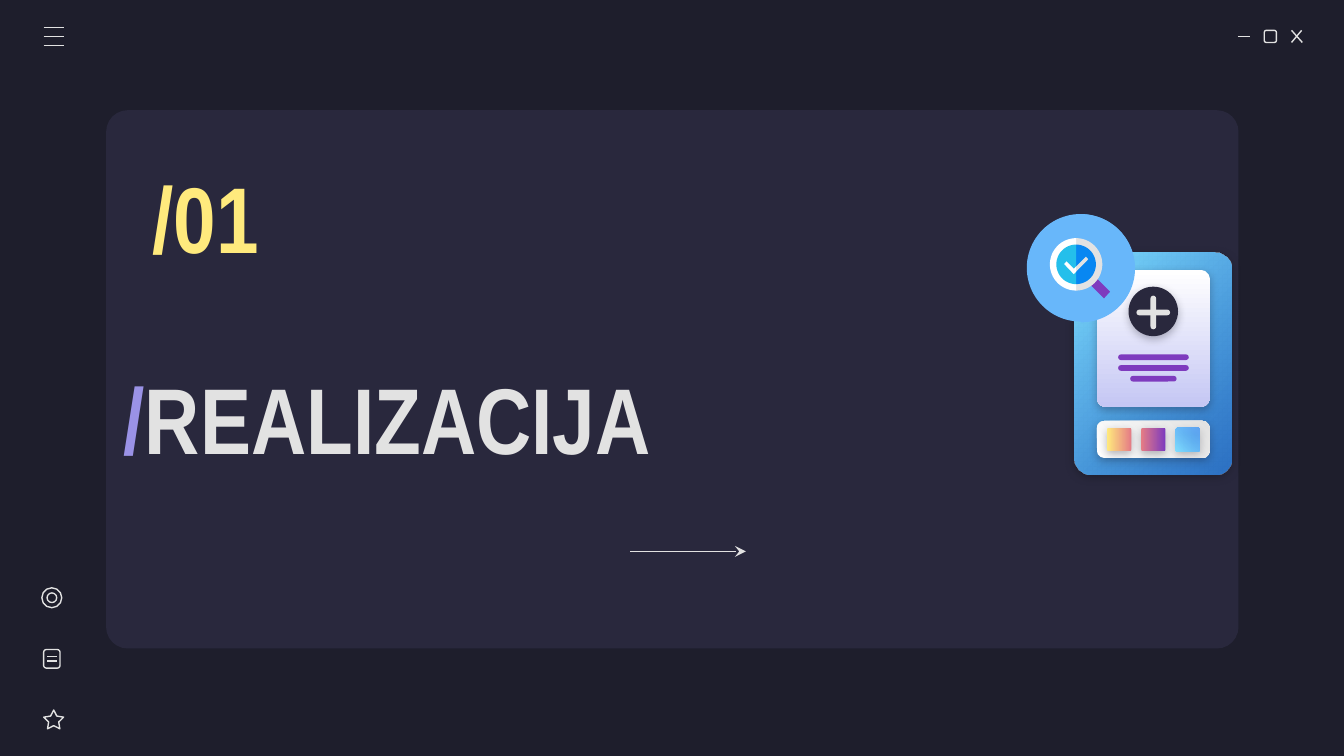
import math
from lxml import etree
from pptx import Presentation
from pptx import util as u
from pptx.dml.color import RGBColor
from pptx.enum import shapes, text
from pptx.oxml import parse_xml
from pptx.oxml.ns import nsdecls, qn

NIGHT = RGBColor(0x1E, 0x1E, 0x2C)
PANEL = RGBColor(0x29, 0x28, 0x3D)
LIGHT = RGBColor(0xE2, 0xE2, 0xE2)
WHITE = RGBColor(0xFF, 0xFF, 0xFF)
LAVENDER = RGBColor(0x9A, 0x92, 0xE6)
PALE = RGBColor(0xC5, 0xC7, 0xF4)
YELLOW = RGBColor(0xFF, 0xEA, 0x7D)
CORAL = RGBColor(0xE5, 0x7C, 0x85)
PURPLE = RGBColor(0x7E, 0x3B, 0xBE)
SKY = RGBColor(0x80, 0xDF, 0xFF)
BLUE = RGBColor(0x31, 0x8F, 0xFA)
BADGE = RGBColor(0x68, 0xB7, 0xFA)
LENS_LEFT = RGBColor(0x24, 0xBF, 0xEB)
LENS_RIGHT = RGBColor(0x08, 0x87, 0xF2)

KIND = shapes.MSO_SHAPE
ROUND = KIND.ROUNDED_RECTANGLE

presentation = Presentation()
presentation.slide_width = u.Inches(10)
presentation.slide_height = presentation.slide_width * 9 // 16
CELL = presentation.slide_width / 100  # square grid, 100 columns wide

slide = presentation.slides.add_slide(presentation.slide_layouts[5])
slide.background.fill.solid()
slide.background.fill.fore_color.rgb = NIGHT


def add_part(kind, cells, fill=None, adjust=(), angle=0, rotation=0, shadow=0):
    """Add a shape; fill is None (outline only), a colour or a gradient pair; shadow is its opacity."""
    shape = slide.shapes.add_shape(kind, *(round(n * CELL) for n in cells))
    shape.rotation = rotation
    for index, value in enumerate(adjust):
        shape.adjustments[index] = value
    if fill is None:
        shape.fill.background()
        shape.line.color.rgb = LIGHT
        shape.line.width = u.Pt(0.75)
    else:
        shape.line.fill.background()
        if isinstance(fill, RGBColor):
            shape.fill.solid()
            shape.fill.fore_color.rgb = fill
        else:
            shape.fill.gradient()
            shape.fill.gradient_angle = -angle % 360
            for stop, color in zip(shape.fill.gradient_stops, fill):
                stop.color.rgb = color
            if fill[1] == BLUE:
                last = shape.element.spPr.findall(".//" + qn("a:srgbClr"))[1]
                etree.SubElement(last, qn("a:alpha"), val="72000")
    shape.shadow.inherit = False
    if shadow:
        shape.element.spPr.find(qn("a:effectLst")).append(parse_xml(
            f'<a:outerShdw {nsdecls("a")} blurRad="57150" dist="19050" dir="5400000" algn="bl">'
            f'<a:srgbClr val="{NIGHT}"><a:alpha val="{shadow * 1000}"/></a:srgbClr></a:outerShdw>'))
    return shape


def add_line(*cells):
    line = slide.shapes.add_connector(
        shapes.MSO_CONNECTOR.STRAIGHT, *(round(n * CELL) for n in cells))
    line.line.color.rgb = LIGHT
    line.line.width = u.Pt(0.75)
    etree.SubElement(line.element.spPr, qn("a:effectLst"))
    return line


add_part(ROUND, (7.9, 8.2, 84.25, 40.05), PANEL, [0.04])

# Window buttons and menu
add_line(92.1, 2.7, 93, 2.7)
add_part(ROUND, (94.07, 2.26, 0.9, 0.9), adjust=[0.167])
add_line(96.1, 2.26, 96.9, 3.16)
add_line(96.85, 2.26, 96.1, 3.16)
for row in (2.05, 2.72, 3.39):
    add_line(3.25, row, 4.75, row)

# Side icons
add_part(KIND.STAR_5_POINT, (3.26, 52.83, 1.48, 1.4), adjust=[0.254, 1.051, 1.106])
add_part(ROUND, (3.25, 48.33, 1.22, 1.38), adjust=[0.167])
for row in (48.83, 49.2):
    add_line(3.5, row, 4.25, row)
add_part(KIND.OVAL, (3.12, 43.74, 1.48, 1.48))
add_part(KIND.OVAL, (3.5, 44.12, 0.72, 0.72))

# Title and section number
title = slide.shapes.title
slide.shapes.element.append(title.element)
number = slide.shapes.add_textbox(0, 0, 0, 0)
for box, cells, runs in (
    (title, (8.2, 22.85, 68.2, 16.4), (("/", LAVENDER), ("REALIZACIJA", LIGHT))),
    (number, (10.36, 11.5, 17.8, 9.2), (("/01", YELLOW),)),
):
    box.left, box.top, box.width, box.height = (round(n * CELL) for n in cells)
    frame = box.text_frame
    frame.auto_size = text.MSO_AUTO_SIZE.NONE
    frame.word_wrap = True
    frame.vertical_anchor = text.MSO_ANCHOR.MIDDLE
    frame.margin_left = frame.margin_right = u.Inches(0.1)
    frame.margin_top = frame.margin_bottom = u.Inches(0.1)
    paragraph = frame.paragraphs[0]
    paragraph.alignment = text.PP_ALIGN.LEFT
    for words, color in runs:
        run = paragraph.add_run()
        run.text = words
        run.font.name = "Arial Narrow"
        run.font.size = u.Pt(50)
        run.font.bold = True
        run.font.color.rgb = color

arrow = add_line(46.9, 41.03, 55.5, 41.03)
etree.SubElement(arrow.element.spPr.find(qn("a:ln")), qn("a:tailEnd"), type="stealth")

# Clipboard with a page and a row of swatches
add_part(ROUND, (79.95, 18.78, 11.7, 16.53), (SKY, BLUE), [0.108], angle=45, shadow=100)
add_part(ROUND, (81.62, 20.08, 8.4, 10.2), (WHITE, PALE), [0.08], angle=90, shadow=30)
for left, top, width in ((83.2, 26.37, 5.25), (83.2, 27.17, 5.25), (84.1, 27.97, 3.45)):
    add_part(ROUND, (left, top, width, 0.42), PURPLE, [0.5])
add_part(KIND.OVAL, (83.97, 21.33, 3.68, 3.68), PANEL, shadow=30)
for rotation in (0, 90):
    add_part(ROUND, (84.56, 23.04, 2.5, 0.42), LIGHT, [0.5], rotation=rotation)
add_part(ROUND, (84.44, 28.5, 2.75, 8.4), (WHITE, LIGHT), [0.198],
         angle=45, rotation=270, shadow=30)
swatches = (((YELLOW, CORAL), 90), ((CORAL, PURPLE), 90), ((SKY, BLUE), 45))
for index, (colors, angle) in enumerate(swatches):
    add_part(ROUND, (82.4 + 2.54 * index, 31.8, 1.75, 1.8), colors, [0.073],
             angle=angle, rotation=270, shadow=30)

# Magnifier badge
add_part(KIND.OVAL, (76.4, 15.93, 8, 8), BADGE)
add_part(KIND.PIE, (76.4, 15.93, 8.05, 8.05), BADGE, [54.39, 162], rotation=180)
outlines = [(PURPLE, [(81.6, 20.7), (81.15, 21.2), (82.15, 22.2), (82.6, 21.7)])]
for radius, right, left in ((1.95, LIGHT, WHITE), (1.47, LENS_RIGHT, LENS_LEFT)):
    for color, side in ((right, 1), (left, -1)):
        turns = [math.pi * step / 32 for step in range(33)]
        outlines.append((color, [(80.07 + side * radius * math.sin(turn),
                                  19.67 - radius * math.cos(turn)) for turn in turns]))
outlines += [
    (LIGHT, [(80.8, 19.1), (80.07, 19.83), (79.95, 20.1), (80.07, 20.22), (80.97, 19.3)]),
    (WHITE, [(79.36, 19.45), (79.18, 19.65), (79.9, 20.4), (80.07, 20.22),
             (80.07, 19.83), (79.9, 20)]),
]
for color, points in outlines:
    corners = [(x * CELL, y * CELL) for x, y in points]
    builder = slide.shapes.build_freeform(*corners[0])
    builder.add_line_segments(corners[1:])
    shape = builder.convert_to_shape()
    shape.fill.solid()
    shape.fill.fore_color.rgb = color
    shape.line.fill.background()
    shape.shadow.inherit = False

presentation.save("out.pptx")
